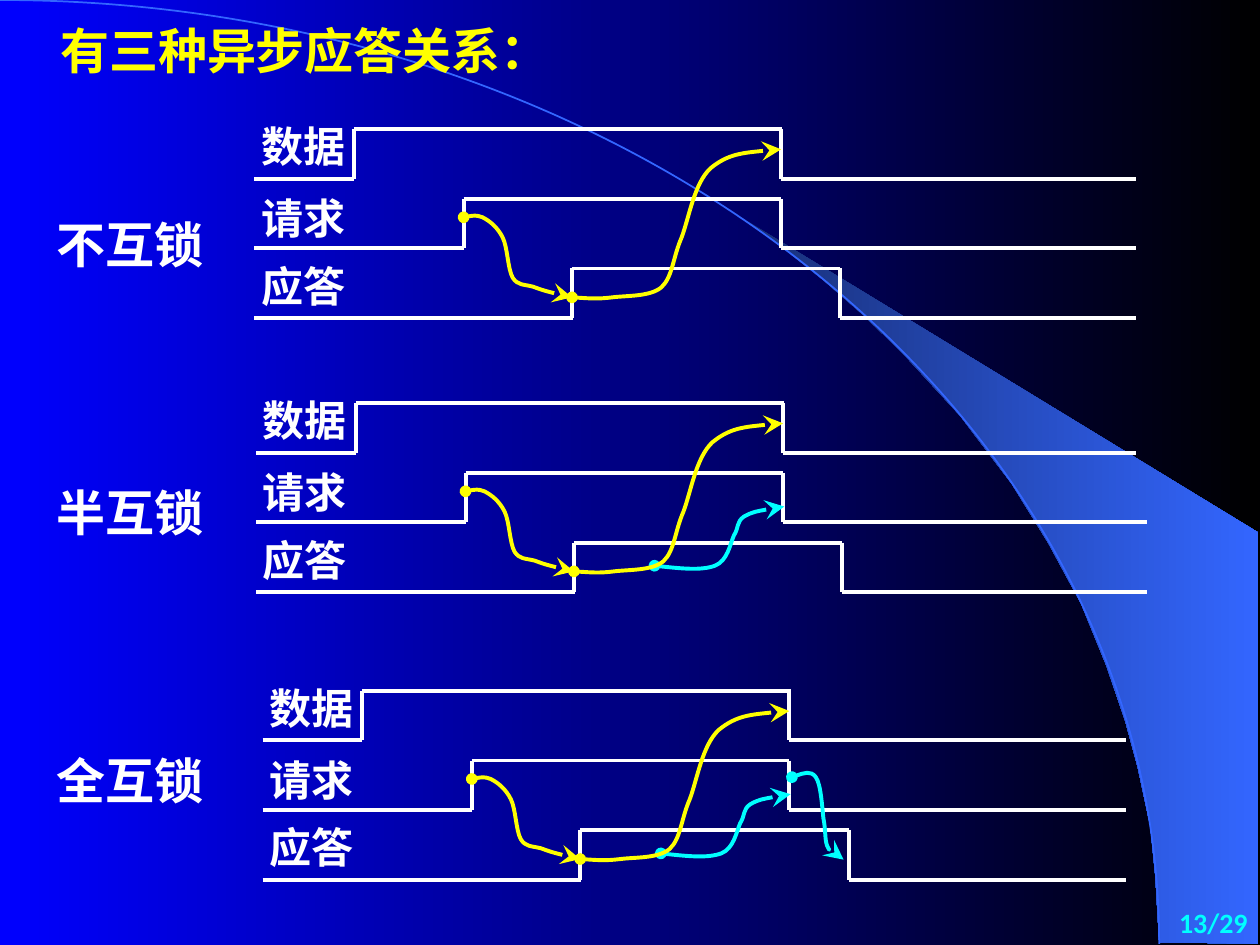
from lxml import etree
from pptx import Presentation
from pptx import util as u
from pptx.dml.color import RGBColor
from pptx.enum import text
from pptx.oxml.ns import qn

THEME = {
    "white": "FFFFFF", "yellow": "FFFF00", "cyan": "00FFFF", "arc": "3366FF",
    "background": ("0000FF", "000000"), "wedge": ("182F76", "3366FF"),
    "cjk": "Noto Sans CJK SC", "serif": "Times New Roman", "latin": "Calibri",
    "title": 28, "name": 28, "label": 24, "number": 16, "stroke": 2.25, "thin": 1,
}

# The page is a grid of 100 columns by 75 rows of square cells.
deck = Presentation()
deck.slide_width, deck.slide_height = u.Inches(10), u.Inches(7.5)
CELL = deck.slide_width // 100
page = deck.slides.add_slide(deck.slide_layouts[6])


def write(words, place, size, color, font, align="LEFT", wrap=True, grow=True):
    left, top, width, height = (round(value * CELL) for value in place)
    frame = page.shapes.add_textbox(left, top, width, height).text_frame
    frame.text = words
    frame.word_wrap = wrap
    if not wrap:
        frame.margin_left = frame.margin_right = CELL // 2
    if grow:
        frame.auto_size = text.MSO_AUTO_SIZE.SHAPE_TO_FIT_TEXT
    else:
        frame.vertical_anchor = text.MSO_ANCHOR.MIDDLE
    para = frame.paragraphs[0]
    para.alignment = text.PP_ALIGN[align]
    span = para.runs[0]
    span.font.name, span.font.size, span.font.bold = font, u.Pt(THEME[size]), True
    span.font.color.rgb = RGBColor.from_string(THEME[color])
    east_asian = etree.SubElement(span._r.get_or_add_rPr(), qn("a:ea"))
    east_asian.set("typeface", THEME["cjk"])


def draw_curve(points, color, stroke, origin=(0, 0), arrow=True):
    """Draw joined cubic Béziers: a start point, then three points for each piece."""
    knots = [(round((x + origin[0]) * CELL), round((y + origin[1]) * CELL)) for x, y in points]
    builder = page.shapes.build_freeform(*knots[0])
    builder.add_line_segments(knots[1:], close=False)
    shape = builder.convert_to_shape()
    segments = list(shape._element.iter(qn("a:lnTo")))
    for first in range(0, len(segments), 3):
        piece = etree.Element(qn("a:cubicBezTo"))
        segments[first].addprevious(piece)
        for segment in segments[first:first + 3]:
            piece.append(segment[0])
            segment.getparent().remove(segment)
    shape.shadow.inherit = False
    shape.fill.background()
    shape.line.color.rgb = RGBColor.from_string(THEME[color])
    shape.line.width = u.Pt(THEME[stroke])
    if arrow:
        outline = shape._element.spPr.find(qn("a:ln"))
        for end, kind, size in (("a:headEnd", "oval", "med"), ("a:tailEnd", "stealth", "lg")):
            etree.SubElement(outline, qn(end), type=kind, w=size, len=size)


# Background, wedge and arc
WEDGE = [
    (92, 74.8), (99.9, 74.9), (99.9, 42.3), (58.9, 17.3), (62.4, 19.9), (65.3, 22.2),
    (68.5, 25), (71.6, 28), (76.2, 33), (80.3, 38.4), (83.2, 43.1), (85.8, 47.9),
    (87.8, 52.8), (89.3, 57.2), (90.3, 60.9), (91.3, 65.6), (91.7, 69.6), (92, 74.8),
]
corners = [(round(x * CELL), round(y * CELL)) for x, y in WEDGE]
builder = page.shapes.build_freeform(*corners[0])
builder.add_line_segments(corners[1:], close=False)
wedge = builder.convert_to_shape()
wedge.shadow.inherit = False
wedge.line.fill.background()
for fill, name in ((page.background.fill, "background"), (wedge.fill, "wedge")):
    fill.gradient()
    fill.gradient_angle = 0
    for stop, color in zip(fill.gradient_stops, THEME[name]):
        stop.color.rgb = RGBColor.from_string(color)
draw_curve([(0, 0), (50.8, 0), (92, 33.5), (92, 74.9)], "arc", "thin", arrow=False)

write("13/29", (79.2, 71.4, 20.8, 3.6), "number", "cyan", THEME["latin"], "RIGHT", grow=False)
write("有三种异步应答关系：", (3.8, 1.1, 50.9, 5.7), "title", "yellow", THEME["cjk"])

# Timing diagrams: all places below are relative to the start of the data signal
ROW_STEP, PULSE = 5.53, 3.93
SIGNALS = [  # label, label top, rise, fall, stretches at low level, stretches at high level
    ("数据", -1.15, 7.9, 41.8, [(0, 7.9)], [(7.9, 16.7), (16.6, 25.4), (25.4, 41.9)]),
    ("请求", 4.55, 16.6, 41.8, [(0, 8.1), (7.7, 16.6)], [(16.6, 25.4), (25.2, 41.8)]),
    ("应答", 9.9, 25.2, 46.5, [(0, 8.1), (8.1, 16.9), (16.4, 25.3)],
     [(25.2, 41.8), (41.8, 46.5)]),
]
REQUEST_TO_REPLY = [
    (16.6, 7), (17.1, 6.9), (17.6, 6.8), (18.1, 7), (18.7, 7.3), (19.3, 7.8), (19.7, 8.6),
    (20.1, 9.4), (20.1, 11.1), (20.5, 11.8), (20.9, 12.4), (21.3, 12.3), (22.1, 12.5),
    (22.9, 12.8), (24, 13.1), (25.2, 13.35),
]
REPLY_TO_DATA = [
    (25.2, 13.35), (26.2, 13.4), (27.2, 13.5), (28.4, 13.35), (29.6, 13.2), (31.4, 13.3),
    (32.3, 12.55), (33.2, 11.7), (33.2, 10.2), (33.9, 8.6), (34.5, 7), (34.9, 4.3),
    (36.2, 3.1), (37.6, 1.95), (39.7, 1.75), (41.8, 1.6),
]
REPLY_TO_REQUEST_END = [
    (31.6, 12.9), (33.5, 13.1), (35.3, 13.3), (36.4, 12.9), (37.4, 12.5), (37.6, 11.2),
    (37.9, 10.5), (38.3, 9.9), (38.1, 9.4), (38.7, 9), (39.4, 8.6), (40.6, 8.4), (41.9, 8.2),
]
REQUEST_END_TO_REPLY_END = [
    (42, 6.85), (42.7, 6.6), (43.5, 6.3), (43.9, 6.85), (44.3, 7.4), (44.4, 9.2),
    (44.5, 10.1), (44.7, 11.1), (44.6, 11.8), (44.8, 12.3), (45.1, 12.9), (45.6, 13.1),
    (46.1, 13.4),
]
DIAGRAMS = [  # name, origin, right end of each signal, interlock arrows
    ("不互锁", (20.2, 10.25), (90.2, 90.2, 90.2), []),
    ("半互锁", (20.35, 32), (90.2, 91, 91), [REPLY_TO_REQUEST_END]),
    ("全互锁", (20.85, 54.83), (89.4, 89.4, 89.4),
     [REPLY_TO_REQUEST_END, REQUEST_END_TO_REPLY_END]),
]

for index, (name, origin, ends, interlocks) in enumerate(DIAGRAMS):
    x, y = origin
    write(name, (3.5, 16.5 + 21.3 * index, 17, 5.7), "name", "white", THEME["serif"])
    for row, (signal, end) in enumerate(zip(SIGNALS, ends)):
        label, label_top, rise, fall, lows, highs = signal
        write(label, (x - 0.45, y + label_top, 8.6, 5), "label", "white", THEME["cjk"],
              "CENTER", wrap=False)
        high = row * ROW_STEP
        low = high + PULSE
        edges = [(left, low, right, low) for left, right in lows + [(fall, end - x)]]
        edges += [(left, high, right, high) for left, right in highs]
        edges += [(column, high, column, low) for column in (rise, fall)]
        for left, top, right, bottom in edges:
            places = (x + left, y + top, x + right, y + bottom)
            edge = page.shapes.add_connector(1, *(round(place * CELL) for place in places))
            edge.line.color.rgb = RGBColor.from_string(THEME["white"])
            edge.line.width = u.Pt(THEME["stroke"])
            etree.SubElement(edge._element.spPr, qn("a:effectLst"))
    for points in interlocks:
        draw_curve(points, "cyan", "stroke", origin)
    for points in (REQUEST_TO_REPLY, REPLY_TO_DATA):
        draw_curve(points, "yellow", "stroke", origin)

deck.save("out.pptx")
